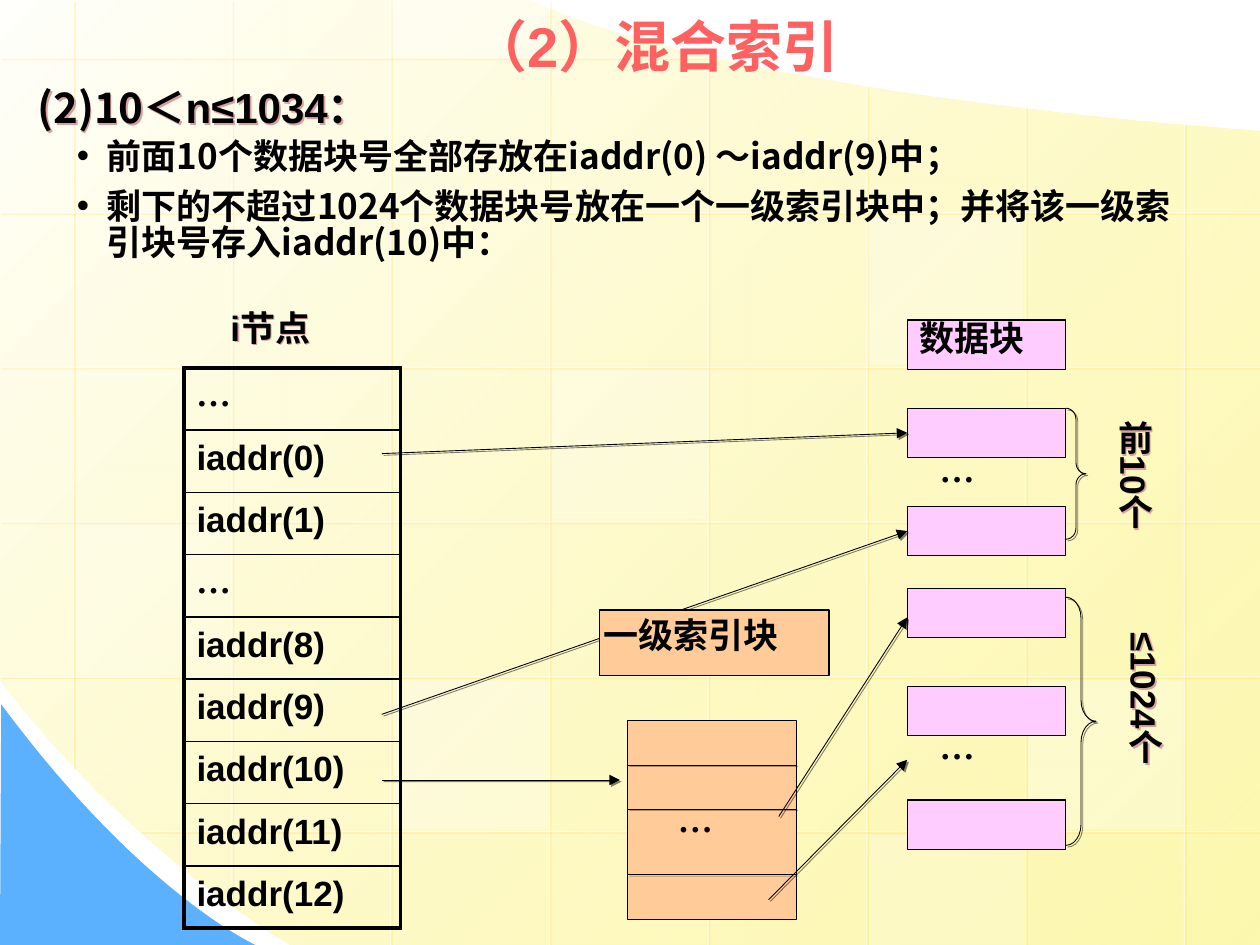
import pptx
import pptx.util
import pptx.dml.color
import pptx.enum.shapes
import pptx.enum.text
import pptx.oxml
import pptx.oxml.ns

Pt = pptx.util.Pt
RGB = pptx.dml.color.RGBColor
MSO = pptx.enum.shapes.MSO_SHAPE
ANCHOR = pptx.enum.text.MSO_ANCHOR
qn = pptx.oxml.ns.qn
NS = 'xmlns:a="http://schemas.openxmlformats.org/drawingml/2006/main"'
STRAIGHT = pptx.enum.shapes.MSO_CONNECTOR.STRAIGHT

BLACK = RGB(0, 0, 0)
WHITE = RGB(255, 255, 255)
CORAL = RGB(0xFF, 0x61, 0x61)
PINK = RGB(0xFF, 0xCC, 0xFF)
ORANGE = RGB(0xFF, 0xCC, 0x99)
BLUE = RGB(0x5C, 0xB1, 0xFE)
CREAM = RGB(0xFF, 0xFF, 0xFB)
YELLOW = RGB(0xFD, 0xF5, 0x8D)
GOLD = RGB(0xFF, 0xCC, 0)
ROSE = RGB(0xD8, 0xA0, 0xA0)
CJK, ARIAL, TIMES = "Noto Sans CJK SC", "Arial", "Times New Roman"


def shade(shape, color, alpha):
    """Give a shape a small offset shadow, and its own colours no change."""
    shape._element.spPr.append(pptx.oxml.parse_xml(
        f'<a:effectLst {NS}><a:outerShdw dist="17961" dir="2700000">'
        f'<a:srgbClr val="{color}"><a:alpha val="{alpha * 1000}"/></a:srgbClr>'
        '</a:outerShdw></a:effectLst>'))


def write(p, text, font=ARIAL, size=20, color=BLACK):
    r = p.add_run()
    r.text = text
    for key, value in {"name": font, "size": Pt(size), "bold": True}.items():
        setattr(r.font, key, value)
    r.font.color.rgb = color
    r.font._element.find(qn("a:latin")).addnext(
        pptx.oxml.parse_xml(f'<a:ea {NS} typeface="{CJK}"/>'))


prs = pptx.Presentation()
prs.slide_width, prs.slide_height = Pt(720), Pt(540)
s = prs.slides.add_slide(prs.slide_layouts[1])
title, body = s.placeholders[0], s.placeholders[1]

# Background areas: straight corners followed by a sampled Bezier curve
areas = [
    ([(720, 540), (165.6, 540)], [(165.6, 540), (62, 476), (0, 388), (0, 388)],
     [(0, 0), (303, 0)], [(303, 0), (303, 0), (386.6, 49.7), (720, 74.9)]),
    ([(0, 540), (146, 540)], [(146, 540), (146, 540), (80.6, 510.5), (0.7, 402.5)]),
]
for i, parts in enumerate(areas):
    points = []
    for part in parts:
        if len(part) == 2:
            points += part
            continue
        for t in [n / 30 for n in range(31)]:
            weights = ((1 - t) ** 3, 3 * t * (1 - t) ** 2, 3 * t * t * (1 - t), t ** 3)
            points.append(tuple(sum(w * q[a] for w, q in zip(weights, part)) for a in (0, 1)))
    fb = s.shapes.build_freeform(Pt(points[0][0]), Pt(points[0][1]))
    fb.add_line_segments([(Pt(x), Pt(y)) for x, y in points[1:]], close=True)
    sp = fb.convert_to_shape()
    sp.shadow.inherit = False
    sp.line.fill.background()
    if i == 0:
        sp.fill.gradient()
        sp.fill.gradient_angle = 315
        for stop, color in zip(sp.fill.gradient_stops, (CREAM, YELLOW)):
            stop.color.rgb = color
        sp._element.spPr.findall(".//" + qn("a:srgbClr"))[-1].append(
            pptx.oxml.parse_xml(f'<a:alpha {NS} val="70000"/>'))
    else:
        sp.fill.solid()
        sp.fill.fore_color.rgb = BLUE

# Background grid lines and pale squares
tops = [0, 0, 0, 0, 31, 49, 61.2, 70.6]
bottoms = [438.5, 517.7] + [540] * 6
grid = [(41.8 + 90.7 * i, a, 41.8 + 90.7 * i, b)
        for i, (a, b) in enumerate(zip(tops, bottoms))]
lefts, rights = [0] * 5 + [79.9], [409] + [720] * 5
grid += [(b, 33.1 + 88.4 * i, a, 33.1 + 88.4 * i)
         for i, (a, b) in enumerate(zip(lefts, rights))]
for ends in grid:
    sp = s.shapes.add_connector(STRAIGHT, *map(Pt, ends))
    sp.line.width = Pt(0.75)
    sp.line.color.rgb = WHITE
    sp._element.spPr.find(".//" + qn("a:srgbClr")).append(
        pptx.oxml.parse_xml(f'<a:alpha {NS} val="50000"/>'))
    shade(sp, GOLD, 34)

squares = [(315.4, 211.7, 85, 25), (587.5, 388.8, 85, 30), (43.2, 299.5, 85, 20),
           (496.8, 477.4, 62.6, 20), (223.9, 0, 31.7, 40), (224.6, 388.8, 85, 30),
           (496.1, 123.1, 85, 30)]
for x, y, h, alpha in squares:
    sp = s.shapes.add_shape(MSO.RECTANGLE, Pt(x), Pt(y), Pt(88.6), Pt(h))
    sp.shadow.inherit = False
    sp.line.fill.background()
    sp.fill.solid()
    sp.fill.fore_color.rgb = WHITE
    sp._element.spPr.find(".//" + qn("a:srgbClr")).append(
        pptx.oxml.parse_xml(f'<a:alpha {NS} val="{alpha * 1000}"/>'))

# Title and bullets, raised above the background
for ph, box in ((title, (235.4, 2.9, 277.9, 46)), (body, (36.7, 77, 657.4, 87.8))):
    s.shapes._spTree.append(ph._element)
    ph.left, ph.top, ph.width, ph.height = map(Pt, box)
p = title.text_frame.paragraphs[0]
title.text_frame.vertical_anchor = ANCHOR.MIDDLE
p.alignment = pptx.enum.text.PP_ALIGN.CENTER
write(p, "（2）混合索引", size=32, color=CORAL)

tf = body.text_frame
tf.auto_size = pptx.enum.text.MSO_AUTO_SIZE.NONE
bullets = ["前面10个数据块号全部存放在iaddr(0) ～iaddr(9)中；",
           "剩下的不超过1024个数据块号放在一个一级索引块中；并将该一级索引块号存入iaddr(10)中："]
for i, text in enumerate(bullets):
    p = tf.add_paragraph() if i else tf.paragraphs[0]
    pPr = p._p.get_or_add_pPr()
    pPr.set("marL", str(Pt(17)))
    pPr.set("indent", str(-Pt(17)))
    pPr.append(pptx.oxml.parse_xml(f'<a:buClr {NS}><a:srgbClr val="{BLACK}"/></a:buClr>'))
    pPr.append(pptx.oxml.parse_xml(f'<a:buChar {NS} char="•"/>'))
    p.space_before = Pt(8 if i else 0)
    p.line_spacing = 0.85
    write(p, text, CJK)

# i-node table: thick frame, thin inner rules
rows = ["…", "iaddr(0)", "iaddr(1)", "…"] + [f"iaddr({n})" for n in range(8, 13)]
frame = s.shapes.add_table(len(rows), 1, Pt(105.1), Pt(210.2), Pt(123.8), Pt(35.6 * len(rows)))
for i, text in enumerate(rows):
    frame.table.rows[i].height = Pt(35.6)
    cell = frame.table.cell(i, 0)
    cell.fill.background()
    cell.margin_top, cell.margin_bottom = Pt(5), 0
    write(cell.text_frame.paragraphs[0], text, CJK if text == "…" else ARIAL)
    widths = {"L": 2.25, "R": 2.25, "T": 1 if i else 2.25,
              "B": 1 if i < len(rows) - 1 else 2.25}
    for n, (side, width) in enumerate(widths.items()):
        cell._tc.get_or_add_tcPr().insert(n, pptx.oxml.parse_xml(
            f'<a:ln{side} {NS} w="{Pt(width)}"><a:solidFill><a:srgbClr val="{BLACK}"/>'
            f'</a:solidFill></a:ln{side}>'))

# Data blocks, index block and its heading box
boxes = [(518.4, y, 90.7, 28.1, PINK) for y in (182.9, 233.3, 289.4, 336.2, 392.4, 457.2)]
boxes.append((358.6, 411.8, 96.5, 113.8, ORANGE))
blocks = []

# Arrows and index-block rules: ends, width, arrowhead, joined block
lines = [((218.2, 259.2, 518.4, 247.3), 0.5, True, 1),
         ((218.2, 445.7, 354.2, 445.7), 0.5, True, None),
         ((218.2, 408.2, 518.4, 303.5), 0.5, True, 2),
         ((445, 466.6, 518.4, 352.8), 0.5, True, None),
         ((439.2, 514.1, 518.4, 434.2), 0.5, True, None)]
lines += [((358.6, y, 455.1, y), 0.25, False, None) for y in (437, 462.2, 499.7)]

for part in boxes + lines + [(342.7, 348.5, 131, 37.4, ORANGE)]:
    if len(part) == 5:
        sp = s.shapes.add_shape(MSO.RECTANGLE, *map(Pt, part[:4]))
        sp.shadow.inherit = False
        sp.fill.solid()
        sp.fill.fore_color.rgb = part[4]
        sp.line.width = Pt(0.75)
        sp.line.color.rgb = BLACK
        blocks.append(sp)
        continue
    ends, width, arrow, joined = part
    sp = s.shapes.add_connector(STRAIGHT, *map(Pt, ends))
    if joined:
        sp.end_connect(blocks[joined], 1)
    sp.line.width = Pt(width)
    sp.line.color.rgb = BLACK
    if arrow:
        sp.line._ln.append(pptx.oxml.parse_xml(f'<a:tailEnd {NS} type="triangle"/>'))
    shade(sp, BLACK, 50)

# Braces
for x, y, w, h, curve in ((609.1, 233.3, 11.5, 74.9, 0.55), (609.1, 341.3, 17.3, 141.8, 0.69)):
    sp = s.shapes.add_shape(MSO.RIGHT_BRACE, Pt(x), Pt(y), Pt(w), Pt(h))
    sp.adjustments[0], sp.adjustments[1] = curve, 0.5
    sp.fill.background()
    sp.line.width = Pt(0.5)
    sp.line.color.rgb = BLACK
    shade(sp, BLACK, 50)

# Labels: box, runs of text and font, size, shadow, vertical
labels = [((14.4, 43.2, 260.6, 36), [("(2)10", CJK), ("＜n≤1034：", ARIAL)], 24, True, False),
          ((124.6, 171.4, 144.7, 36), [("i节点", ARIAL)], 20, True, False),
          ((529.9, 252, 79.2, 36), [("…", TIMES)], 20, False, False),
          ((529.9, 410.4, 79.2, 36), [("…", TIMES)], 20, False, False),
          ((380.2, 452.2, 54, 31.7), [("…", TIMES)], 20, False, False),
          ((518.4, 177.1, 101.5, 36), [("数据块", TIMES)], 20, False, False),
          ((337.7, 347, 139.7, 36), [("一级索引块", TIMES)], 20, False, False),
          ((620.6, 233.3, 43.2, 93.6), [("前10个", ARIAL)], 20, True, True),
          ((626.4, 354.2, 43.2, 121.7), [("≤1024个", ARIAL)], 20, True, True)]
for box, runs, size, shadowed, vertical in labels:
    sp = s.shapes.add_textbox(*map(Pt, box))
    tf = sp.text_frame
    tf.word_wrap = True
    if vertical:
        tf._txBody.bodyPr.set("vert", "eaVert")
    if shadowed:
        shade(sp, ROSE, 100)
    for text, font in runs:
        write(tf.paragraphs[0], text, font, size)

prs.save("out.pptx")
